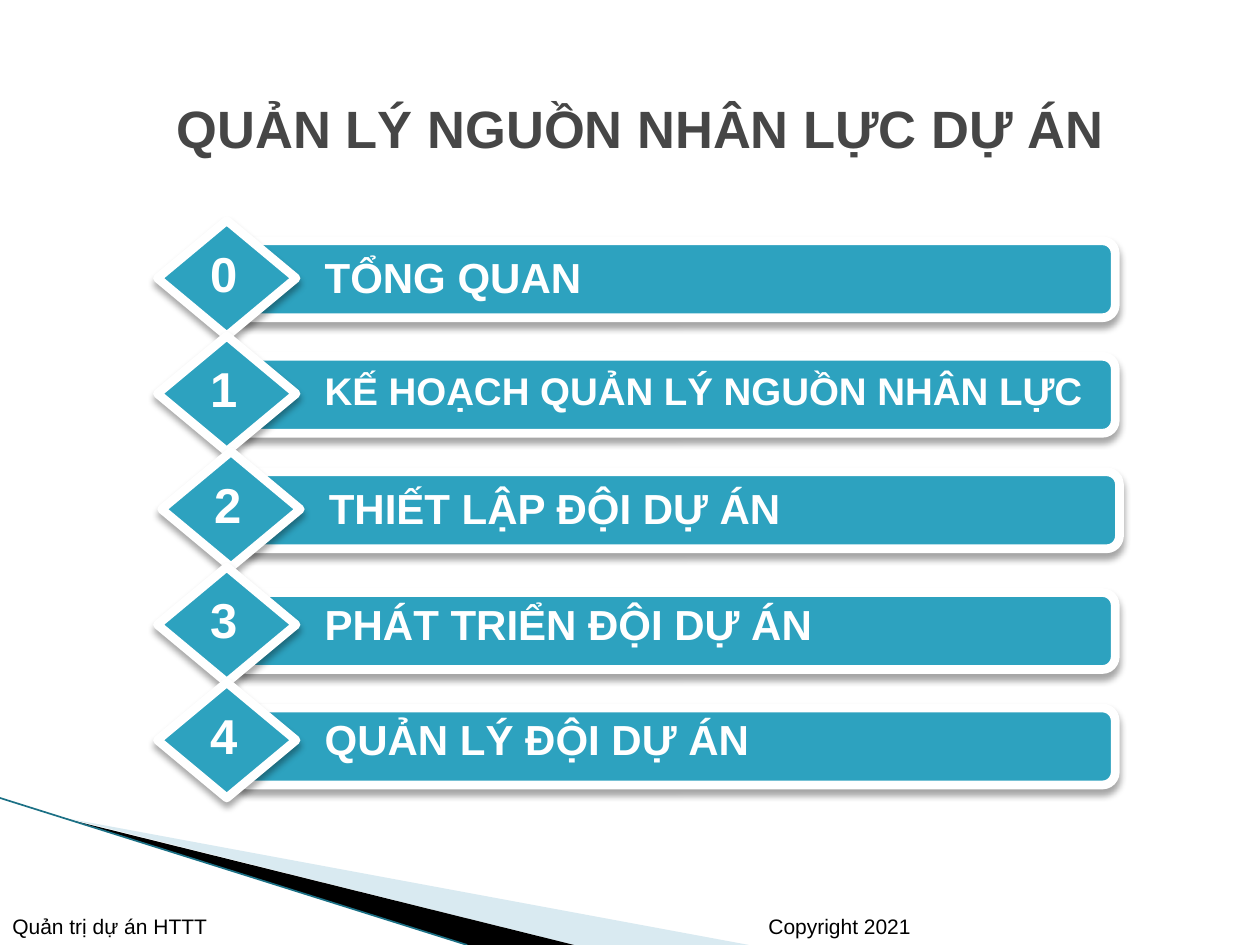
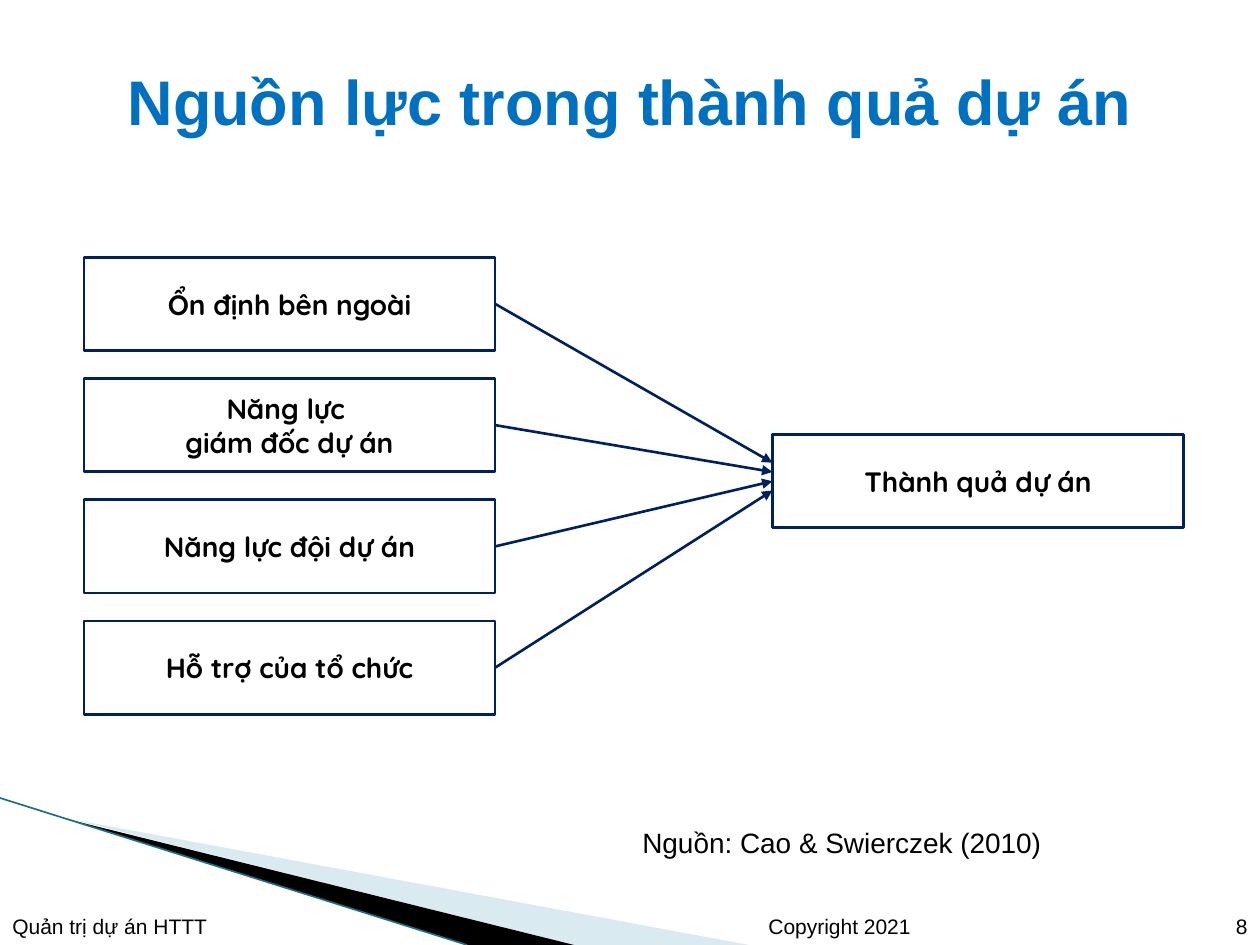
import pptx
import pptx.dml.color
import pptx.enum.shapes
import pptx.enum.text
import pptx.oxml
import pptx.oxml.ns
import pptx.util

Pt = pptx.util.Pt
SHAPE = pptx.enum.shapes.MSO_SHAPE
ALIGN = pptx.enum.text.PP_ALIGN
ANCHOR = pptx.enum.text.MSO_ANCHOR

COLOURS = {
    "paper": "FFFFFF",
    "ink": "000000",
    "teal": "2DA2BF",
    "pale": "A0CBDC",
    "edge": "1B7085",
    "navy": "002060",
    "agenda title": "464646",
    "model title": "0070C0",
}
AGENDA = [
    "TỔNG QUAN",
    "KẾ HOẠCH QUẢN LÝ NGUỒN NHÂN LỰC",
    "THIẾT LẬP ĐỘI DỰ ÁN",
    "PHÁT TRIỂN ĐỘI DỰ ÁN",
    "QUẢN LÝ ĐỘI DỰ ÁN",
]
FACTORS = [
    "Ổn định bên ngoài",
    "Năng lực \vgiám đốc dự án",
    "Năng lực đội dự án",
    "Hỗ trợ của tổ chức",
]


def colour(name):
    return pptx.dml.color.RGBColor.from_string(COLOURS[name])


def add_element(parent, tag, **attributes):
    element = pptx.oxml.parse_xml(f"<a:{tag} {pptx.oxml.ns.nsdecls('a')}/>")
    for name, value in attributes.items():
        element.set(name, str(value))
    parent.append(element)
    return element


class Painter:
    def __init__(self, deck):
        self.deck = deck
        self.page = None

    def new_page(self, number=None):
        self.page = self.deck.slides.add_slide(self.deck.slide_layouts[6])
        self.wedge([(39.6, 468.5), (428, 540), (328, 540), (39.6, 468)], "pale", 40)
        self.wedge([(38.2, 467.5), (328, 540), (267, 540), (38.9, 468)], "ink")
        self.line((0, 456), (267, 540), "edge", 0.95)
        self.footer("Copyright 2021", 432, 126)
        self.footer("Quản trị dự án HTTT", 0, 200)
        if number is not None:
            self.footer(str(number), 676, 44, ALIGN.RIGHT)

    def footer(self, text, left, width, align=ALIGN.LEFT):
        self.text(text, left, 511.2, width, 28.8, 12, align=align, anchor=ANCHOR.BOTTOM)

    def title(self, text, left, top, width, height, size, ink):
        self.text(text, left, top, width, height, size, ink, True, ALIGN.CENTER, ANCHOR.MIDDLE)

    def text(self, text, left, top, width, height, size, ink="ink", bold=False,
             align=ALIGN.LEFT, anchor=ANCHOR.TOP):
        box = self.page.shapes.add_textbox(Pt(left), Pt(top), Pt(width), Pt(height))
        self.fill_text(box, text, size, ink, bold, align, anchor)

    def fill_text(self, box, text, size, ink, bold, align, anchor, font="Arial"):
        frame = box.text_frame
        frame.text = text
        frame.word_wrap = True
        frame.vertical_anchor = anchor
        for para in frame.paragraphs:
            para.alignment = align
            for span in para.runs:
                span.font.name = font
                span.font.size = Pt(size)
                span.font.bold = bold
                span.font.color.rgb = colour(ink)

    def shape(self, kind, left, top, width, height, fill, line, weight):
        shape = self.page.shapes.add_shape(kind, Pt(left), Pt(top), Pt(width), Pt(height))
        shape.shadow.inherit = False
        shape.fill.solid()
        shape.fill.fore_color.rgb = colour(fill)
        shape.line.color.rgb = colour(line)
        shape.line.width = Pt(weight)
        return shape

    def raised(self, kind, left, top, width, height):
        shape = self.shape(kind, left, top, width, height, "teal", "paper", 5)
        effects = shape._element.spPr.find(pptx.oxml.ns.qn("a:effectLst"))
        shadow = add_element(effects, "outerShdw", blurRad=Pt(4), dist=Pt(3),
                             dir=5400000, rotWithShape=0)
        add_element(add_element(shadow, "srgbClr", val=COLOURS["ink"]), "alpha", val=35000)

    def framed(self, text, left, top, width, height):
        box = self.shape(SHAPE.RECTANGLE, left, top, width, height, "paper", "navy", 1.5)
        self.fill_text(box, text, 16, "ink", True, ALIGN.CENTER, ANCHOR.MIDDLE, "Quicksand")
        return box

    def wedge(self, points, fill, opacity=100):
        builder = self.page.shapes.build_freeform(*points[0], scale=Pt(1))
        builder.add_line_segments(points[1:])
        wedge = builder.convert_to_shape()
        wedge.shadow.inherit = False
        wedge.fill.solid()
        wedge.fill.fore_color.rgb = colour(fill)
        wedge.line.fill.background()
        if opacity < 100:
            tint = wedge._element.spPr.find(".//" + pptx.oxml.ns.qn("a:srgbClr"))
            add_element(tint, "alpha", val=opacity * 1000)

    def line(self, start, end, ink, weight, arrow=False):
        line = self.page.shapes.add_connector(
            pptx.enum.shapes.MSO_CONNECTOR.STRAIGHT, *map(Pt, start + end))
        line.line.color.rgb = colour(ink)
        line.line.width = Pt(weight)
        if arrow:
            add_element(line.line._get_or_add_ln(), "tailEnd", type="triangle")
        add_element(line._element.spPr, "effectLst")
        return line


def build_agenda(painter):
    painter.new_page()
    painter.title("QUẢN LÝ NGUỒN NHÂN LỰC DỰ ÁN", 60, 37.5, 612, 70.5, 30, "agenda title")
    for number, topic in enumerate(AGENDA):
        left = 92.4 if number == 2 else 90
        top = 126 + 66 * number
        bar_drop = 11.6 if number < 3 else 14.6
        size = 22 if number == 1 else 24
        painter.raised(SHAPE.ROUNDED_RECTANGLE, left + 44, top + bar_drop, 503.3, 44)
        painter.raised(SHAPE.DIAMOND, left, top, 79.2, 66)
        painter.text(topic, left + 88.4, top + 14.4, 530, 36.7, size, "paper", True)
        painter.text(str(number), left + 23, top + 9.4, 30, 45, 28, "paper", True, ALIGN.CENTER)


def build_model(painter):
    painter.new_page(8)
    painter.title("Nguồn lực trong thành quả dự án", 0, 12.2, 720, 90, 36, "model title")
    painter.text("Nguồn: Cao & Swierczek (2010)", 360, 468, 260, 26.6, 16)
    width, height = 234.9, 53.3
    left, result_left = 48, 441.4
    painter.framed("Thành quả dự án", result_left, 248.2, width, height)
    for index, factor in enumerate(FACTORS):
        top = 147 + 69.3 * index
        box = painter.framed(factor, left, top, width, height)
        arrow = painter.line((left + width, top + height / 2),
                             (result_left, 264.4 + 5.3 * index), "navy", 1.5, True)
        arrow.begin_connect(box, 3)


def main():
    deck = pptx.Presentation()
    deck.slide_width, deck.slide_height = Pt(720), Pt(540)
    painter = Painter(deck)
    build_agenda(painter)
    build_model(painter)
    deck.save("out.pptx")


if __name__ == "__main__":
    main()
